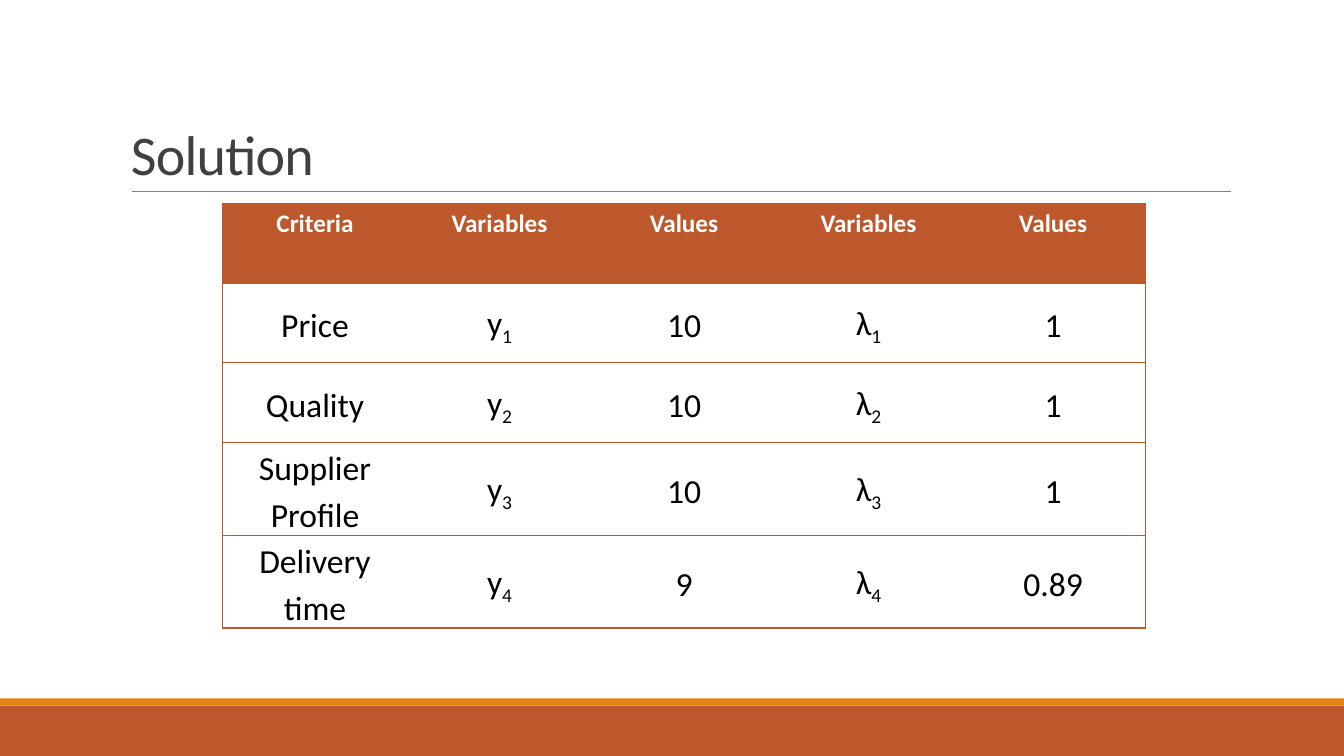
from dataclasses import dataclass

from lxml.etree import SubElement
from pptx import Presentation
from pptx.dml.color import RGBColor
from pptx.enum.shapes import MSO_CONNECTOR, MSO_SHAPE
from pptx.enum.text import MSO_ANCHOR, PP_ALIGN
from pptx.oxml.ns import qn
from pptx.slide import Slide
from pptx.table import _Cell
from pptx.text.text import _Paragraph
from pptx.util import Inches, Pt

RUST = RGBColor(0xBD, 0x58, 0x2C)
ORANGE = RGBColor(0xE4, 0x83, 0x12)
GRAY = RGBColor(0x80, 0x80, 0x80)
CHARCOAL = RGBColor(0x40, 0x40, 0x40)
WHITE = RGBColor(0xFF, 0xFF, 0xFF)
BLACK = RGBColor(0, 0, 0)
FONT = "Calibri"
SLIDE_WIDTH = 13.33
COLUMN_WIDTH, ROW_HEIGHT = 1.83, 0.79
HEADINGS = ("Criteria", "Variables", "Values", "Variables", "Values")


@dataclass(frozen=True)
class Band:
    top: float
    height: float
    color: RGBColor


@dataclass(frozen=True)
class Criterion:
    name: str
    y_value: str
    lambda_value: str


BANDS = (Band(7, 0.5, RUST), Band(6.93, 0.07, ORANGE))
CRITERIA = (
    Criterion("Price", "10", "1"),
    Criterion("Quality", "10", "1"),
    Criterion("Supplier Profile", "10", "1"),
    Criterion("Delivery time", "9", "0.89"),
)


def add_run(paragraph: _Paragraph, text: str, size: float, color: RGBColor,
            bold: bool = False, subscript: bool = False, spacing: int = 0) -> None:
    """Append a run; spacing is in hundredths of a point."""
    run = paragraph.add_run()
    run.text = text
    run.font.name = FONT
    run.font.size = Pt(size)
    run.font.bold = bold
    run.font.color.rgb = color
    properties = run.font._element
    if subscript:
        properties.set("baseline", "-25000")
    if spacing:
        properties.set("spc", str(spacing))


def add_band(slide: Slide, band: Band) -> None:
    bar = slide.shapes.add_shape(MSO_SHAPE.RECTANGLE, 0, Inches(band.top),
                                 Inches(SLIDE_WIDTH), Inches(band.height))
    bar.shadow.inherit = False
    bar.fill.solid()
    bar.fill.fore_color.rgb = band.color
    bar.line.fill.background()


def add_title(slide: Slide, text: str) -> None:
    rule = slide.shapes.add_connector(MSO_CONNECTOR.STRAIGHT, Inches(1.31), Inches(1.9),
                                      Inches(12.21), Inches(1.9))
    rule.line.color.rgb = GRAY
    rule.line.width = Pt(0.5)
    SubElement(rule._element.spPr, qn("a:effectLst"))

    title = slide.shapes.add_textbox(Inches(1.2), Inches(0.31), Inches(11), Inches(1.59))
    frame = title.text_frame
    frame.word_wrap = True
    frame.vertical_anchor = MSO_ANCHOR.BOTTOM
    paragraph = frame.paragraphs[0]
    paragraph.line_spacing = 0.85
    add_run(paragraph, text, 40, CHARCOAL, spacing=-50)


def set_borders(cell: _Cell, left: bool, right: bool) -> None:
    """Rule the top and bottom, and the chosen sides; must precede the fill."""
    properties = cell._tc.get_or_add_tcPr()
    for side, ruled in (("L", left), ("R", right), ("T", True), ("B", True)):
        border = SubElement(properties, qn(f"a:ln{side}"), w=str(Pt(1)))
        if ruled:
            fill = SubElement(border, qn("a:solidFill"))
            SubElement(fill, qn("a:srgbClr"), val=str(RUST))
        else:
            SubElement(border, qn("a:noFill"))


def fill_heading(cell: _Cell, text: str) -> None:
    cell.fill.solid()
    cell.fill.fore_color.rgb = RUST
    add_run(cell.text_frame.paragraphs[0], text, 18, WHITE, bold=True)


def fill_body(cell: _Cell, text: str, index: str) -> None:
    cell.fill.background()
    cell.vertical_anchor = MSO_ANCHOR.MIDDLE
    cell.margin_left = cell.margin_right = Inches(0.07)
    cell.margin_top = cell.margin_bottom = 0
    paragraph = cell.text_frame.paragraphs[0]
    paragraph.line_spacing = 1.15
    add_run(paragraph, text, 24, BLACK)
    if index:
        add_run(paragraph, index, 24, BLACK, subscript=True)


def add_solution_table(slide: Slide) -> None:
    row_count, column_count = len(CRITERIA) + 1, len(HEADINGS)
    table = slide.shapes.add_table(
        row_count, column_count, Inches(2.21), Inches(2.02),
        Inches(COLUMN_WIDTH * column_count), Inches(ROW_HEIGHT * row_count)).table
    table.horz_banding = False
    for column in table.columns:
        column.width = Inches(COLUMN_WIDTH)
    for row in table.rows:
        row.height = Inches(ROW_HEIGHT)
        for position, cell in enumerate(row.cells):
            set_borders(cell, position == 0, position == column_count - 1)
            cell.text_frame.paragraphs[0].alignment = PP_ALIGN.CENTER

    for position, heading in enumerate(HEADINGS):
        fill_heading(table.cell(0, position), heading)
    for number, criterion in enumerate(CRITERIA, start=1):
        index = str(number)
        entries = ((criterion.name, ""), ("y", index), (criterion.y_value, ""),
                   ("λ", index), (criterion.lambda_value, ""))
        for position, (text, subscript) in enumerate(entries):
            fill_body(table.cell(number, position), text, subscript)


def main() -> None:
    presentation = Presentation()
    presentation.slide_width = Inches(SLIDE_WIDTH)
    presentation.slide_height = Inches(7.5)
    slide = presentation.slides.add_slide(presentation.slide_layouts[6])
    for band in BANDS:
        add_band(slide, band)
    add_title(slide, "Solution")
    add_solution_table(slide)
    presentation.save("out.pptx")


if __name__ == "__main__":
    main()
